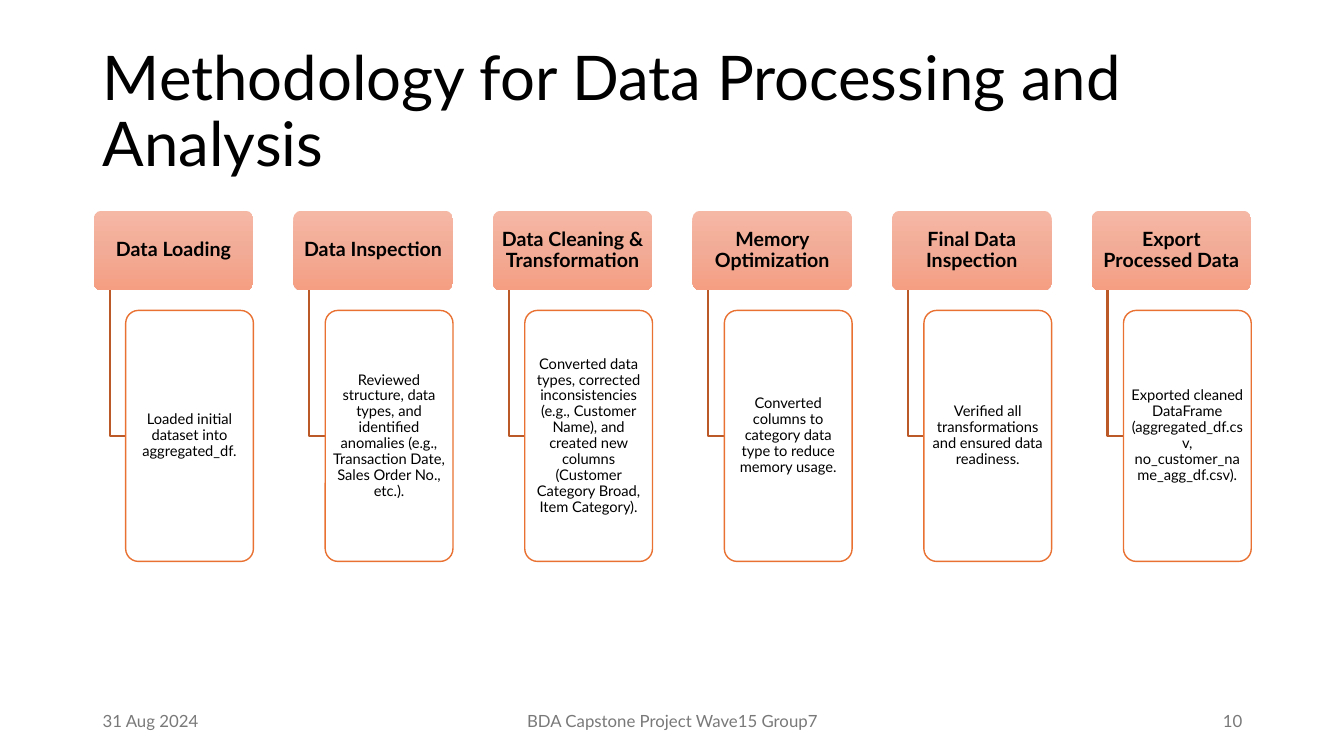
from copy import deepcopy
from dataclasses import dataclass

from lxml.etree import SubElement
from pptx import Presentation
from pptx.dml.color import RGBColor
from pptx.enum.shapes import MSO_SHAPE
from pptx.enum.text import MSO_ANCHOR, MSO_AUTO_SIZE, PP_ALIGN
from pptx.oxml.ns import qn
from pptx.util import Inches, Pt


@dataclass(frozen=True)
class Theme:
    """Fonts, type sizes in points and colours of the slide."""
    font: str = "Lato"
    title_size: float = 44
    step_size: float = 14
    detail_size: float = 10.5
    footer_size: float = 12
    ink: str = "000000"
    muted: str = "797979"
    paper: str = "FFFFFF"
    outline: str = "E97132"
    elbow: str = "BB5A28"
    step_gradient: tuple = ("F5B8A5", "F2AB96", "F59E82")


THEME = Theme()
SLIDE_WIDTH, SLIDE_HEIGHT = Inches(13.33), Inches(7.5)
MARGIN = Inches(0.92)
FLOW_LEFT, FLOW_TOP = Inches(0.93), Inches(2.09)
FLOW_WIDTH = Inches(11.48)
DETAIL_HEIGHT = Inches(2.49)

STEPS = [
    ("Data Loading", "Loaded initial dataset into aggregated_df."),
    ("Data Inspection",
     "Reviewed structure, data types, and identified anomalies "
     "(e.g., Transaction Date, Sales Order No., etc.)."),
    ("Data Cleaning & Transformation",
     "Converted data types, corrected inconsistencies (e.g., Customer Name), "
     "and created new columns (Customer Category Broad, Item Category)."),
    ("Memory Optimization",
     "Converted columns to category data type to reduce memory usage."),
    ("Final Data Inspection",
     "Verified all transformations and ensured data readiness."),
    ("Export Processed Data",
     "Exported cleaned DataFrame (aggregated_df.csv, "
     "no_customer_name_agg_df.csv)."),
]

FOOTERS = [
    ("31 Aug 2024", 0.92, 3, PP_ALIGN.LEFT),
    ("BDA Capstone Project Wave15 Group7", 4.42, 4.5, PP_ALIGN.CENTER),
    ("10", 9.42, 3, PP_ALIGN.RIGHT),
]


def write(shape, wording, size, color, align, bold=False, spacing=1.0):
    """Fill a shape with one formatted, vertically centred paragraph."""
    frame = shape.text_frame
    frame.word_wrap = True
    frame.auto_size = MSO_AUTO_SIZE.NONE
    frame.vertical_anchor = MSO_ANCHOR.MIDDLE
    paragraph = frame.paragraphs[0]
    paragraph.text = wording
    paragraph.alignment = align
    paragraph.line_spacing = spacing
    font = paragraph.font
    font.name, font.size, font.bold = THEME.font, Pt(size), bold
    font.color.rgb = RGBColor.from_string(color)


def add_card(slide, box, wording, size, bold=False):
    """Add a rounded card with centred text and thin insets."""
    card = slide.shapes.add_shape(MSO_SHAPE.ROUNDED_RECTANGLE, *box)
    card.adjustments[0] = 0.1
    card.shadow.inherit = False
    write(card, wording, size, THEME.ink, PP_ALIGN.CENTER, bold, 0.9)
    frame = card.text_frame
    frame.margin_left = frame.margin_right = Inches(0.03 if bold else 0.02)
    frame.margin_top = frame.margin_bottom = Inches(0.02)
    return card


def paint_gradient(card, colors):
    """Paint a vertical gradient with three evenly spaced stops."""
    card.fill.gradient()
    card.fill.gradient_angle = 270
    stop_list = card.fill.gradient_stops[0]._gs.getparent()
    stop_list.insert(1, deepcopy(stop_list[0]))
    for index, (stop, color) in enumerate(zip(card.fill.gradient_stops, colors)):
        stop.position = index / (len(colors) - 1)
        stop.color.rgb = RGBColor.from_string(color)
    card.line.fill.background()


def paint_outline(card):
    """Give a card a slightly transparent fill and a coloured outline."""
    card.fill.solid()
    card.fill.fore_color.rgb = RGBColor.from_string(THEME.paper)
    solid = card._element.spPr.find(qn("a:solidFill"))
    SubElement(solid[0], qn("a:alpha")).set("val", "90000")
    card.line.color.rgb = RGBColor.from_string(THEME.outline)
    card.line.width = Pt(1)


def add_elbow(slide, left, top, right, bottom):
    """Draw the bent line from a step down to its detail card."""
    builder = slide.shapes.build_freeform(left, top)
    builder.add_line_segments([(left, bottom), (right, bottom)], close=False)
    elbow = builder.convert_to_shape()
    elbow.shadow.inherit = False
    elbow.fill.background()
    elbow.line.color.rgb = RGBColor.from_string(THEME.elbow)
    elbow.line.width = Pt(1.5)


def add_step(slide, left, width, name, detail):
    """Add one column: step card, bent line and detail card."""
    step_height = width // 2
    step_bottom = FLOW_TOP + step_height
    detail_left = left + width // 5
    detail_top = step_bottom + width // 8
    step = add_card(slide, (left, FLOW_TOP, width, step_height),
                    name, THEME.step_size, bold=True)
    paint_gradient(step, THEME.step_gradient)
    add_elbow(slide, left + width // 10, step_bottom,
              detail_left, detail_top + DETAIL_HEIGHT // 2)
    description = add_card(
        slide, (detail_left, detail_top, width * 4 // 5, DETAIL_HEIGHT),
        detail, THEME.detail_size)
    paint_outline(description)


def add_title(slide, wording):
    """Place and format the title placeholder."""
    title = slide.shapes.title
    title.left, title.top = MARGIN, Inches(0.4)
    title.width, title.height = Inches(11.5), Inches(1.45)
    write(title, wording, THEME.title_size, THEME.ink, PP_ALIGN.LEFT, spacing=0.9)


def add_footer(slide, wording, left, width, align):
    """Add one part of the footer line."""
    footer = slide.shapes.add_textbox(
        Inches(left), Inches(6.95), Inches(width), Inches(0.4))
    write(footer, wording, THEME.footer_size, THEME.muted, align)


def main():
    """Build the methodology slide and save it."""
    deck = Presentation()
    deck.slide_width, deck.slide_height = SLIDE_WIDTH, SLIDE_HEIGHT
    slide = deck.slides.add_slide(deck.slide_layouts.get_by_name("Title Only"))
    add_title(slide, "Methodology for Data Processing and Analysis")
    for footer in FOOTERS:
        add_footer(slide, *footer)
    gap_share = 0.25
    width = int(FLOW_WIDTH / (len(STEPS) + gap_share * (len(STEPS) - 1)))
    pitch = int(width * (1 + gap_share))
    for column, (name, detail) in enumerate(STEPS):
        add_step(slide, FLOW_LEFT + column * pitch, width, name, detail)
    deck.save("out.pptx")


if __name__ == "__main__":
    main()
